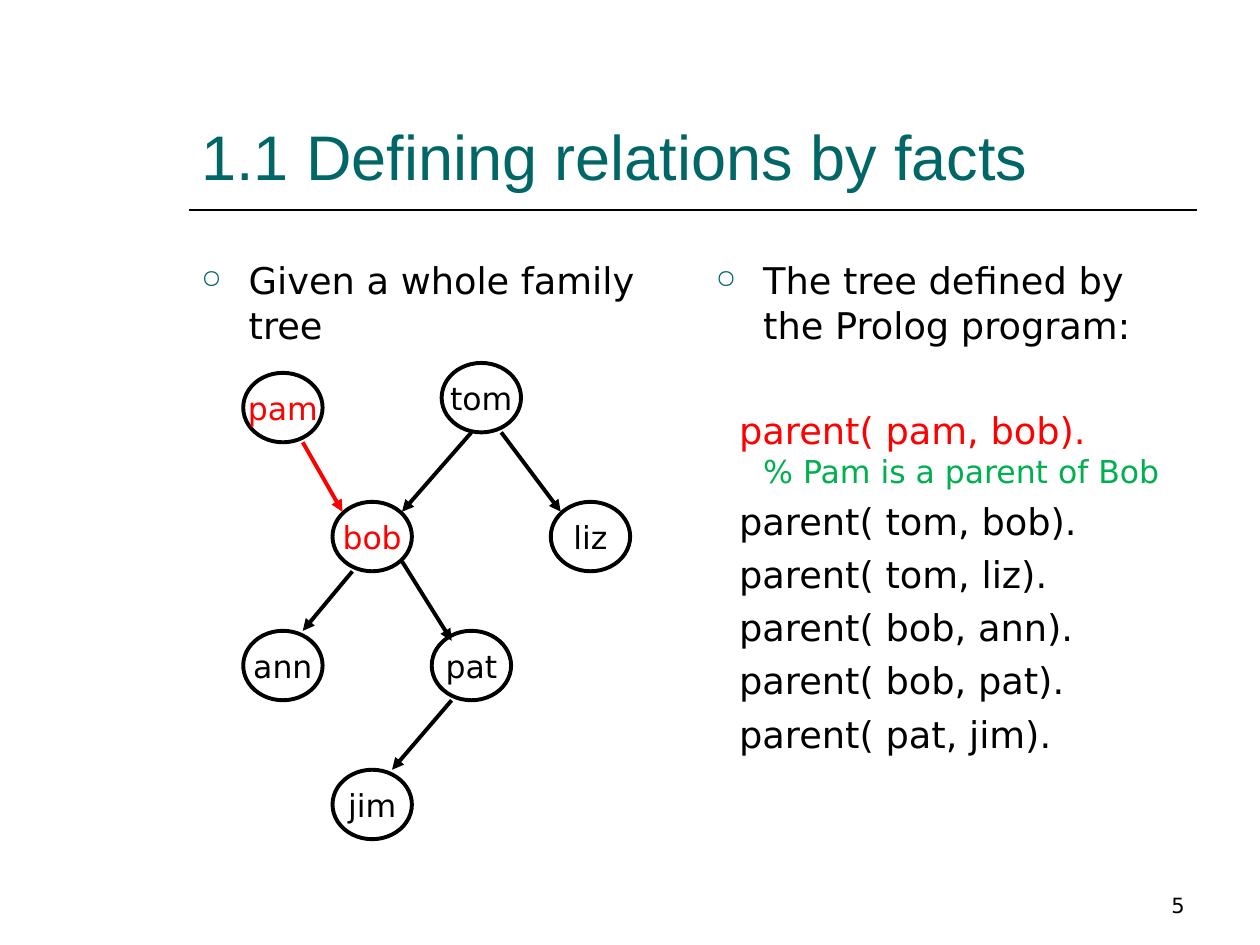
from lxml.etree import SubElement
from pptx import Presentation
from pptx.dml.color import RGBColor
from pptx.enum.shapes import MSO_CONNECTOR, MSO_SHAPE
from pptx.enum.text import MSO_ANCHOR, PP_ALIGN
from pptx.oxml.ns import qn
from pptx.util import Pt

BLACK, WHITE, RED, GREEN, TEAL = "000000", "FFFFFF", "FF0000", "00B050", "006666"


def color(value):
    return RGBColor.from_string(value)


class SlideBuilder:
    title_font = "Arial"
    body_font = "DejaVu Sans"
    body_size = 21
    label_size = 18
    hanging = 27

    def __init__(self, page):
        self.page = page

    def run(self, para, text, size, ink=BLACK, font=body_font):
        span = para.add_run()
        span.text = text
        span.font.size = Pt(size)
        span.font.name = font
        span.font.color.rgb = color(ink)

    def text_box(self, left, top, width, height, anchor=MSO_ANCHOR.TOP):
        box = self.page.shapes.add_textbox(Pt(left), Pt(top), Pt(width), Pt(height))
        frame = box.text_frame
        frame.word_wrap = True
        frame.vertical_anchor = anchor
        return frame

    def indent(self, para, first_line, space_before=5.2):
        para.space_before = Pt(space_before)
        properties = para._p.get_or_add_pPr()
        properties.set("marL", str(Pt(self.hanging)))
        properties.set("indent", str(Pt(first_line)))
        return properties

    def bullet(self, para, text):
        properties = self.indent(para, -self.hanging)
        bullet_color = SubElement(properties, qn("a:buClr"))
        SubElement(bullet_color, qn("a:srgbClr"), val=TEAL)
        SubElement(properties, qn("a:buSzPct"), val="70000")
        SubElement(properties, qn("a:buChar"), char="○")
        self.run(para, text, self.body_size)

    def fact(self, frame, text, ink=BLACK, comment=None, space_before=5.2):
        para = frame.add_paragraph()
        self.indent(para, -13.7, space_before)
        self.run(para, text, self.body_size, ink)
        if comment:
            para.add_line_break()
            self.run(para, comment, self.label_size, GREEN)

    def node(self, name, left, top, width, height, ink):
        oval = self.page.shapes.add_shape(
            MSO_SHAPE.OVAL, Pt(left), Pt(top), Pt(width), Pt(height))
        oval.shadow.inherit = False
        oval.fill.solid()
        oval.fill.fore_color.rgb = color(WHITE)
        oval.line.color.rgb = color(BLACK)
        oval.line.width = Pt(2.25)
        frame = oval.text_frame
        frame.word_wrap = False
        frame.vertical_anchor = MSO_ANCHOR.MIDDLE
        para = frame.paragraphs[0]
        para.alignment = PP_ALIGN.CENTER
        self.run(para, name, self.label_size, ink)

    def line(self, start, end, ink=BLACK, width=1.0, arrow=False):
        connector = self.page.shapes.add_connector(
            MSO_CONNECTOR.STRAIGHT, *(Pt(value) for value in (*start, *end)))
        connector.line.color.rgb = color(ink)
        connector.line.width = Pt(width)
        if arrow:
            SubElement(connector.line._get_or_add_ln(), qn("a:tailEnd"), type="triangle")
        SubElement(connector._element.spPr, qn("a:effectLst"))


# Family tree on a grid: column and row of each node's top left corner
UNIT = 5.67
TREE_LEFT, TREE_TOP = 139, 207.4
NODE_COLUMNS, NODE_ROWS = 8, 7
NODES = {
    "pam": (0, 1), "tom": (20, 0), "bob": (9, 14), "liz": (31, 14),
    "ann": (0, 27), "pat": (19, 27), "jim": (9, 41),
}
RED_NODES = ("pam", "bob")
# Parent, child, and the grid offsets where the arrow leaves and arrives
EDGES = [
    ("pam", "bob", (6, 7), (1, 1), RED),
    ("tom", "bob", (3, 7), (7, 1), BLACK),
    ("tom", "liz", (6, 7), (1, 1), BLACK),
    ("bob", "ann", (2, 7), (6, 0), BLACK),
    ("bob", "pat", (7, 6), (2, 1), BLACK),
    ("pat", "jim", (2, 7), (6, 0), BLACK),
]


def tree_point(name, offset=(0, 0)):
    column, row = NODES[name]
    return (TREE_LEFT + (column + offset[0]) * UNIT,
            TREE_TOP + (row + offset[1]) * UNIT)


def main():
    deck = Presentation()
    deck.slide_width, deck.slide_height = Pt(720), Pt(540)
    builder = SlideBuilder(deck.slides.add_slide(deck.slide_layouts[6]))

    # Title, rule and page number
    builder.line((108, 120), (684, 120))
    title = builder.text_box(108, 24, 576, 90, MSO_ANCHOR.BOTTOM)
    builder.run(title.paragraphs[0], "1.1 Defining relations by facts",
                36, TEAL, builder.title_font)
    number = builder.text_box(516, 492, 168, 36, MSO_ANCHOR.BOTTOM).paragraphs[0]
    number.alignment = PP_ALIGN.RIGHT
    builder.run(number, "5", 12)

    # Left column
    left_column = builder.text_box(108, 144, 281.5, 324)
    builder.bullet(left_column.paragraphs[0], "Given a whole family tree")

    # Right column: the program
    program = builder.text_box(402, 144, 282, 324)
    builder.bullet(program.paragraphs[0], "The tree defined by the Prolog program:")
    builder.fact(program, "parent( pam, bob).", RED, "% Pam is a parent of Bob", 35)
    for parent, child, *_ in EDGES[1:]:
        builder.fact(program, f"parent( {parent}, {child}).")

    # Family tree
    for name in NODES:
        builder.node(name, *tree_point(name), NODE_COLUMNS * UNIT, NODE_ROWS * UNIT,
                     RED if name in RED_NODES else BLACK)
    for parent, child, leave, arrive, ink in EDGES:
        builder.line(tree_point(parent, leave), tree_point(child, arrive), ink, 2.25, True)

    deck.save("out.pptx")


if __name__ == "__main__":
    main()
